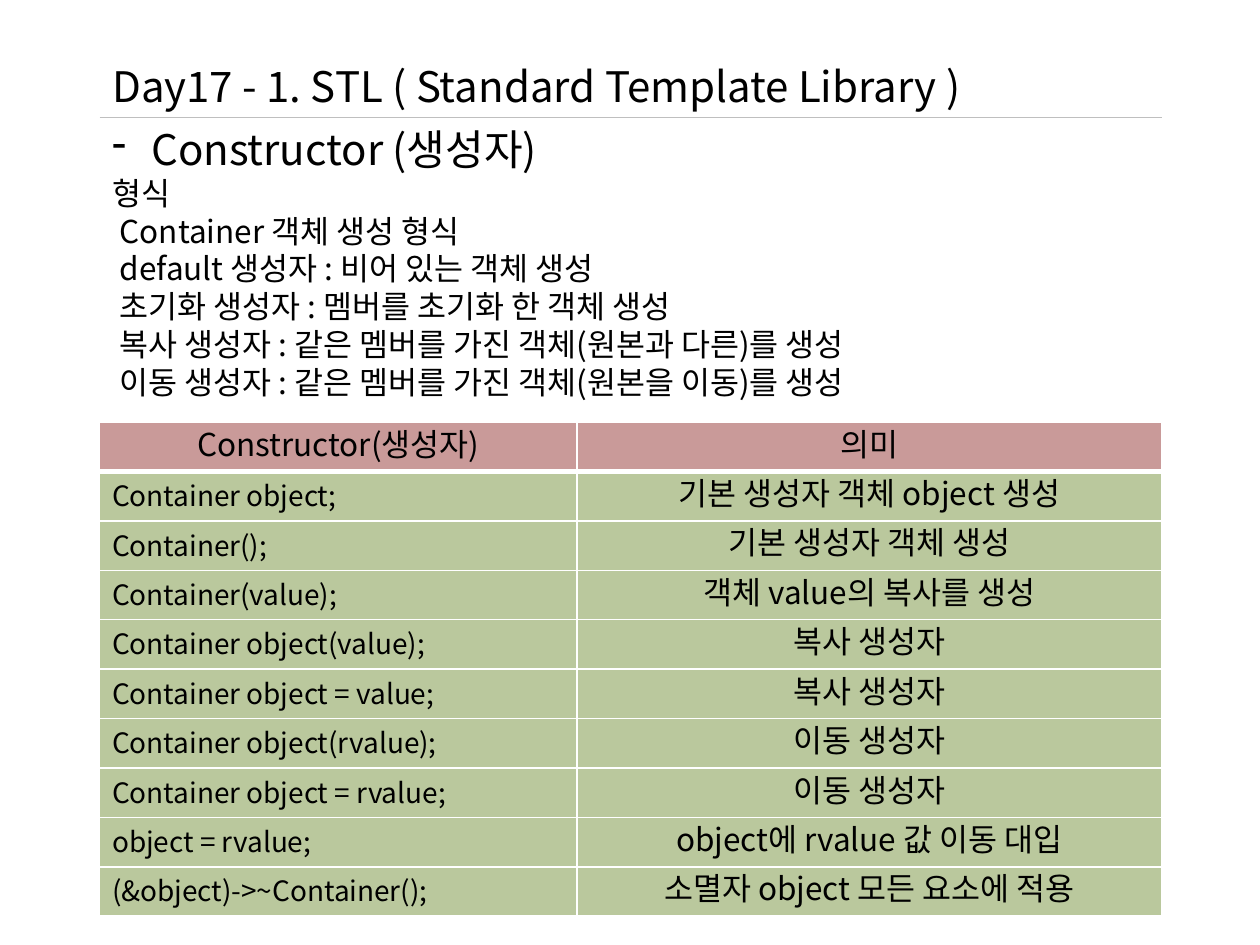
from dataclasses import dataclass

from lxml import etree
from pptx import Presentation, util as u
from pptx.dml.color import RGBColor
from pptx.enum import shapes, text
from pptx.oxml import ns


@dataclass(frozen=True)
class Theme:
    face: str = "Noto Sans CJK KR"
    ink: str = "000000"
    rule: str = "BFBFBF"
    border: str = "FFFFFF"
    header: str = "953735"
    row: str = "77933C"
    heading: int = 24
    normal: int = 18
    code: int = 16


TITLE = "Day17 - 1. STL ( Standard Template Library )"
SUBTITLE = "Constructor (생성자)"
FORMAT = "형식"
DETAILS = [
    "Container 객체 생성 형식",
    "default 생성자 : 비어 있는 객체 생성",
    "초기화 생성자 : 멤버를 초기화 한 객체 생성",
    "복사 생성자 : 같은 멤버를 가진 객체(원본과 다른)를 생성",
    "이동 생성자 : 같은 멤버를 가진 객체(원본을 이동)를 생성",
]
CONSTRUCTORS = [
    ("Constructor(생성자)", "의미"),
    ("Container object;", "기본 생성자 객체 object 생성"),
    ("Container();", "기본 생성자 객체 생성"),
    ("Container(value);", "객체 value의 복사를 생성"),
    ("Container object(value);", "복사 생성자"),
    ("Container object = value;", "복사 생성자"),
    ("Container object(rvalue);", "이동 생성자"),
    ("Container object = rvalue;", "이동 생성자"),
    ("object = rvalue;", "object에 rvalue 값 이동 대입"),
    ("(&object)->~Container();", "소멸자 object 모든 요소에 적용"),
]


def assign(target, values):
    for name, value in values.items():
        setattr(target, name, value)


def child(parent, tag, **attributes):
    return etree.SubElement(parent, ns.qn(tag), attributes)


class SlideBuilder:
    """Draws styled elements on a page measured in 100 columns and 75 rows."""

    def __init__(self, theme):
        self.theme = theme
        self.deck = Presentation()
        assign(self.deck, {"slide_width": u.Inches(10), "slide_height": u.Inches(7.5)})
        self.page = self.deck.slides.add_slide(self.deck.slide_layouts[1])

    def columns(self, count):
        return round(self.deck.slide_width * count / 100)

    def rows(self, count):
        return round(self.deck.slide_height * count / 75)

    def add_words(self, para, words, size, spacing, align=text.PP_ALIGN.LEFT):
        assign(para, {"alignment": align, "space_before": u.Pt(0),
                      "space_after": u.Pt(0), "line_spacing": u.Pt(spacing)})
        span = para.add_run()
        span.text = words
        assign(span.font, {"name": self.theme.face, "size": u.Pt(size)})
        span.font.color.rgb = RGBColor.from_string(self.theme.ink)
        child(span.font._element, "a:ea", typeface=self.theme.face)

    def place(self, box, left, top, width, height):
        assign(box, {"left": self.columns(left), "top": self.rows(top),
                     "width": self.columns(width), "height": self.rows(height)})
        assign(box.text_frame, {"word_wrap": True,
                                "auto_size": text.MSO_AUTO_SIZE.NONE,
                                "vertical_anchor": text.MSO_ANCHOR.TOP})

    def title(self, words, *area):
        box = self.page.shapes.title
        self.place(box, *area)
        size = self.theme.heading
        self.add_words(box.text_frame.paragraphs[0], words, size, size * 1.2)

    def body(self, items, *area):
        box = self.page.placeholders[1]
        self.place(box, *area)
        frame = box.text_frame
        for index, (words, size, indent, bullet) in enumerate(items):
            para = frame.add_paragraph() if index else frame.paragraphs[0]
            self.add_words(para, words, size, size * 1.2)
            margin = self.columns(indent)
            layout = para._p.get_or_add_pPr()
            layout.set("marL", str(margin))
            layout.set("indent", str(-margin if bullet else 0))
            if bullet:
                child(layout, "a:buFontTx")
                child(layout, "a:buChar", char=bullet)
            else:
                child(layout, "a:buNone")

    def rule(self, left, top, width):
        start, end, level = self.columns(left), self.columns(left + width), self.rows(top)
        line = self.page.shapes.add_connector(
            shapes.MSO_CONNECTOR.STRAIGHT, start, level, end, level)
        line.line.color.rgb = RGBColor.from_string(self.theme.rule)
        line.line.width = u.Pt(0.75)
        child(line._element.spPr, "a:effectLst")

    def fill(self, cell, color):
        cell.fill.solid()
        cell.fill.fore_color.rgb = RGBColor.from_string(color)
        tint = cell._tc.tcPr.find(ns.qn("a:solidFill"))[0]
        child(tint, "a:alpha", val="50000")

    def borders(self, cell, widths):
        for index, (side, width) in enumerate(widths.items()):
            edge = etree.Element(ns.qn(f"a:ln{side}"), w=str(u.Pt(width)))
            child(child(edge, "a:solidFill"), "a:srgbClr", val=self.theme.border)
            cell._tc.tcPr.insert(index, edge)

    def table(self, records, left, top, widths, row_height):
        grid = self.page.shapes.add_table(
            len(records), len(widths), self.columns(left), self.rows(top),
            self.columns(sum(widths)), self.rows(row_height * len(records))).table
        for column, width in zip(grid.columns, widths):
            column.width = self.columns(width)
        for r, record in enumerate(records):
            for c, words in enumerate(record):
                cell = grid.cell(r, c)
                code = r > 0 and c == 0
                cell.vertical_anchor = text.MSO_ANCHOR.MIDDLE
                self.add_words(cell.text_frame.paragraphs[0], words,
                               self.theme.code if code else self.theme.normal, 21,
                               text.PP_ALIGN.LEFT if code else text.PP_ALIGN.CENTER)
                self.fill(cell, self.theme.row if r else self.theme.header)
                self.borders(cell, {"L": 1, "R": 1, "T": 3 if r == 1 else 1,
                                    "B": 1 if r else 3})


def main():
    theme = Theme()
    slide = SlideBuilder(theme)
    left, width = 7.9, 84.3
    slide.title(TITLE, left, 4.3, width, 5)
    slide.rule(left, 9.3, width)
    slide.table(CONSTRUCTORS, left, 33.5, (37.9, 46.4), 3.91)
    items = [(SUBTITLE, theme.heading, 3.1, "-"), (FORMAT, theme.normal, 0, None)]
    items += [(words, theme.normal, 0.6, None) for words in DETAILS]
    slide.body(items, left, 9.3, width, 23.2)
    slide.deck.save("out.pptx")


if __name__ == "__main__":
    main()
